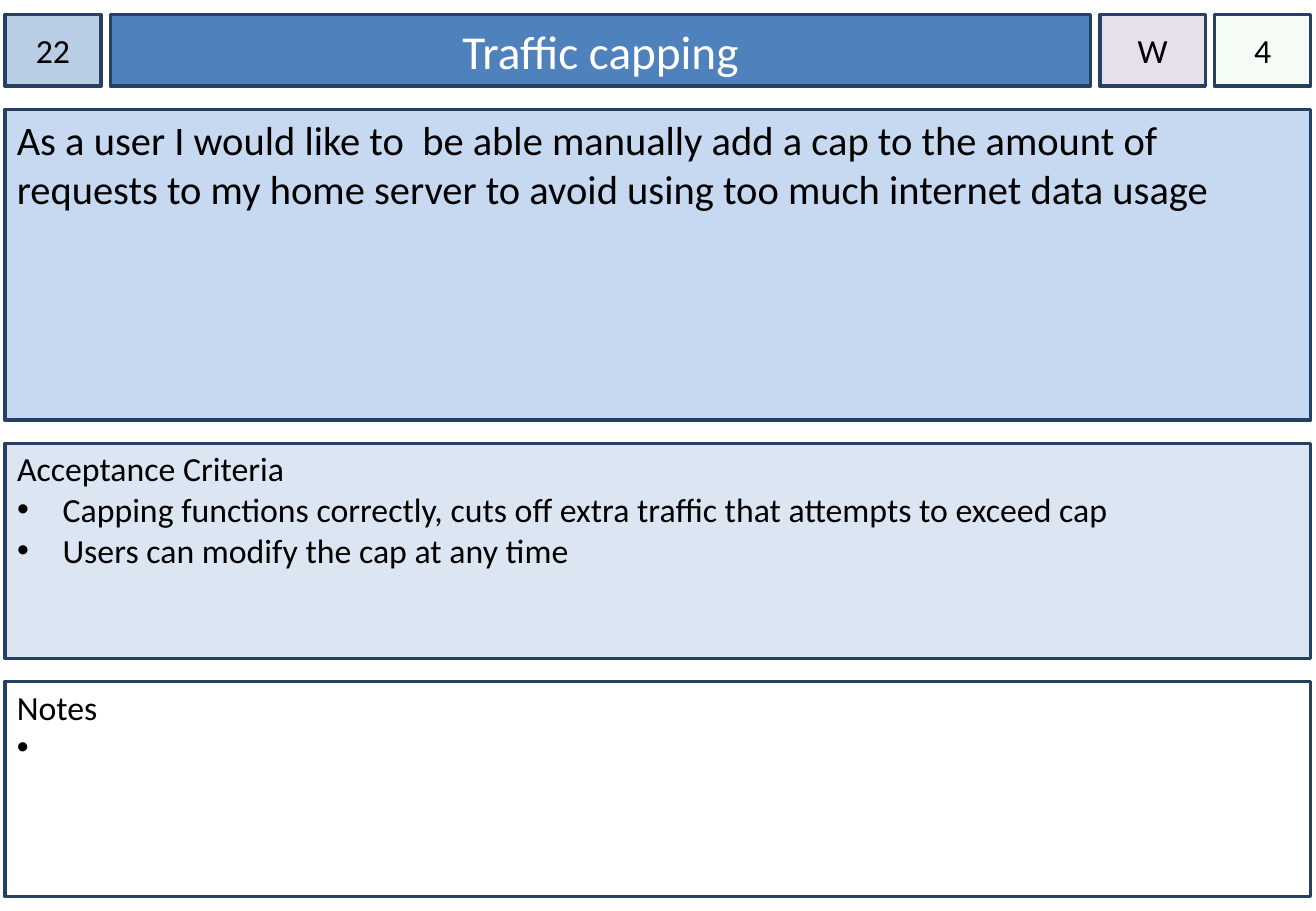
from dataclasses import dataclass

from lxml import etree
from pptx import Presentation
from pptx.dml.color import RGBColor
from pptx.enum import shapes, text
from pptx.oxml import ns
from pptx.util import Pt


@dataclass(frozen=True)
class Theme:
    font: str = "Calibri"
    ink: str = "000000"
    white: str = "FFFFFF"
    border: str = "254061"
    number: str = "B9CDE5"
    banner: str = "4F81BD"
    priority: str = "E6E0EC"
    estimate: str = "CCF0CD"
    story: str = "C6D9F1"
    criteria: str = "DCE6F2"
    title_size: int = 28
    story_size: int = 24
    text_size: int = 20


theme = Theme()


def style_box(box, left, top, width, height, fill, insets):
    """Place a box and give it the card's fill, border and text frame."""
    box.left, box.top, box.width, box.height = Pt(left), Pt(top), Pt(width), Pt(height)
    box.shadow.inherit = False
    box.fill.solid()
    box.fill.fore_color.rgb = RGBColor.from_string(fill)
    box.line.color.rgb = RGBColor.from_string(theme.border)
    box.line.width = Pt(2)
    frame = box.text_frame
    frame.word_wrap = True
    frame.auto_size = text.MSO_AUTO_SIZE.NONE
    side, above = insets
    frame.margin_left = frame.margin_right = Pt(side)
    frame.margin_top, frame.margin_bottom = Pt(above), Pt(3.6)


def style_para(para, size, color, align, indent=0):
    """Format a paragraph, with a hanging bullet when it has an indent."""
    props = para._p.get_or_add_pPr()
    props.set("marL", str(Pt(indent)))
    props.set("indent", str(-Pt(indent)))
    para.alignment = align
    para.space_before = Pt(0)
    if indent:
        bullet_font = etree.SubElement(props, ns.qn("a:buFont"))
        bullet_font.set("typeface", "Arial")
        etree.SubElement(props, ns.qn("a:buChar")).set("char", "•")
    else:
        etree.SubElement(props, ns.qn("a:buNone"))
    for span in para.runs:
        span.font.name = theme.font
        span.font.size = Pt(size)
        span.font.color.rgb = RGBColor.from_string(color)


# Page with a title and a list
deck = Presentation()
deck.slide_width, deck.slide_height = Pt(780), Pt(540)
page = deck.slides.add_slide(deck.slide_layouts[1])
title, criteria = page.placeholders

# Header row: number, title, priority, estimate
left, top, header_height, column_gap = 2.9, 8.6, 42.5, 5.5
header = [
    ("22", 57, theme.number, theme.ink, theme.text_size, None),
    ("Traffic capping", 581, theme.banner, theme.white, theme.title_size, title),
    ("W", 62.5, theme.priority, theme.ink, theme.text_size, None),
    ("4", 57, theme.estimate, theme.ink, theme.text_size, None),
]
for words, width, fill, color, size, holder in header:
    box = holder or page.shapes.add_shape(shapes.MSO_SHAPE.RECTANGLE, 0, 0, 0, 0)
    style_box(box, left, top, width, header_height, fill, (7.2 if holder else 0, 3.6))
    box.text_frame.vertical_anchor = text.MSO_ANCHOR.MIDDLE
    box.text_frame.text = words
    style_para(box.text_frame.paragraphs[0], size, color, text.PP_ALIGN.CENTER)
    left += width + column_gap

# The last header box, the estimate, is a see-through green
green = box.fill._xPr.find(".//" + ns.qn("a:srgbClr"))
etree.SubElement(green, ns.qn("a:alpha")).set("val", "20000")

# Panels stacked below: story, acceptance criteria, notes
panel_left, panel_width, row_gap = 2.9, 774, 13.7
panels = [
    (["As a user I would like to  be able manually add a cap to the amount of "
      "requests to my home server to avoid using too much internet data usage"],
     184.3, theme.story, theme.story_size, 3.6, 0, None),
    (["Acceptance Criteria",
      "Capping functions correctly, cuts off extra traffic that attempts to exceed cap",
      "Users can modify the cap at any time"],
     127.4, theme.criteria, theme.text_size, 2.9, 27, criteria),
    (["Notes", " "], 127.4, theme.white, theme.text_size, 2.9, 14.4, None),
]
top += header_height + row_gap
for lines, height, fill, size, inset, indent, holder in panels:
    box = holder or page.shapes.add_shape(shapes.MSO_SHAPE.RECTANGLE, 0, 0, 0, 0)
    style_box(box, panel_left, top, panel_width, height, fill, (7.2, inset))
    box.text_frame.vertical_anchor = text.MSO_ANCHOR.TOP
    box.text_frame.text = "\n".join(lines)
    for row, para in enumerate(box.text_frame.paragraphs):
        style_para(para, size, theme.ink, text.PP_ALIGN.LEFT, indent if row else 0)
    top += height + row_gap

deck.save("out.pptx")
